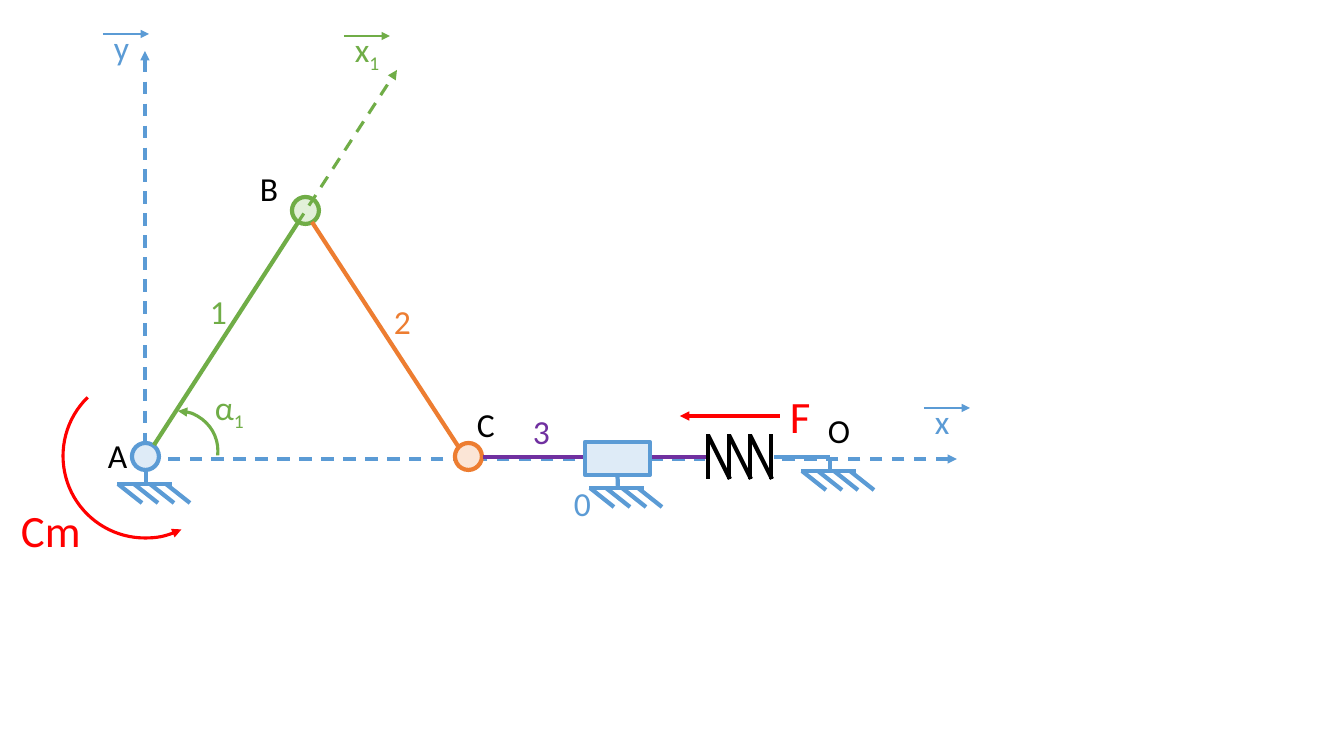
from lxml import etree
from pptx import Presentation
from pptx.dml.color import RGBColor
from pptx.enum.dml import MSO_LINE
from pptx.enum.shapes import MSO_CONNECTOR, MSO_SHAPE
from pptx.enum.text import MSO_AUTO_SIZE
from pptx.oxml.ns import qn
from pptx.util import Emu, Pt

EMU_PER_PX = 914400 / 100.8

BLACK = RGBColor(0x00, 0x00, 0x00)
WHITE = RGBColor(0xFF, 0xFF, 0xFF)
BLUE = RGBColor(0x5B, 0x9B, 0xD5)
GREEN = RGBColor(0x70, 0xAD, 0x47)
ORANGE = RGBColor(0xED, 0x7D, 0x31)
PURPLE = RGBColor(0x70, 0x30, 0xA0)
RED = RGBColor(0xFF, 0x00, 0x00)
PALE_BLUE = RGBColor(0xDE, 0xEB, 0xF7)
PALE_GREEN = RGBColor(0xE2, 0xF0, 0xD9)
PALE_ORANGE = RGBColor(0xFB, 0xE5, 0xD6)

HEAD, TAIL = "a:headEnd", "a:tailEnd"
LEFT_SIDE, BOTTOM_SIDE, RIGHT_SIDE = 1, 2, 3


def px(length):
    return Emu(round(length * EMU_PER_PX))


class Diagram:
    """Draws mechanism parts on one slide; all lengths are in px."""

    font_name = "Calibri"

    def __init__(self, slide):
        self.shapes = slide.shapes

    def style_line(self, line, color, width, arrow=None):
        line.color.rgb = color
        line.width = Pt(width)
        if arrow:
            etree.SubElement(line._get_or_add_ln(), qn(arrow), type="triangle")

    def line(self, start, end, color, width=3, dashed=False, arrow=None):
        points = [px(value) for value in (*start, *end)]
        connector = self.shapes.add_connector(MSO_CONNECTOR.STRAIGHT, *points)
        if dashed:
            connector.line.dash_style = MSO_LINE.DASH
        self.style_line(connector.line, color, width, arrow)
        etree.SubElement(connector._element.spPr, qn("a:effectLst"))
        return connector

    def shape(self, kind, box, fill, color, width=3, arrow=None):
        shape = self.shapes.add_shape(kind, *(px(value) for value in box))
        shape.shadow.inherit = False
        if fill is None:
            shape.fill.background()
        else:
            shape.fill.solid()
            shape.fill.fore_color.rgb = fill
        self.style_line(shape.line, color, width, arrow)
        return shape

    def joint(self, left, top, fill, color):
        self.shape(MSO_SHAPE.OVAL, (left, top, 27, 27), fill, color)

    def arc(self, left, top, size, start_angle, end_angle, color):
        """Draw clockwise between two angles in degrees, arrowhead at the start."""
        arc = self.shape(MSO_SHAPE.ARC, (left, top, size, size), None, color, 2.25, HEAD)
        for index, angle in enumerate((start_angle, end_angle)):
            arc.adjustments[index] = angle * 0.6

    def ground(self, x, y):
        """Draw a fixed support with its bar at y and return its stem."""
        stem = self.line((x, y - 14), (x, y + 1), BLUE)
        self.line((x + 26, y), (x - 29, y), BLUE)
        for offset in range(-28, 36, 16):
            self.line((x + offset + 24, y + 19), (x + offset, y), BLUE)
        return stem

    def spring(self, left, top, bottom, pitch=21, turns=3):
        for index in range(turns + 1):
            x = left + index * pitch
            self.line((x, bottom), (x, top), BLACK)
        for index in range(turns):
            x = left + index * pitch
            self.line((x + pitch + 1, bottom), (x, top + 1), BLACK)

    def label(self, text, left, top, width, color, size=24, subscript=""):
        height = 50 if size == 24 else 64
        text_box = self.shapes.add_textbox(px(left), px(top), px(width), px(height))
        text_frame = text_box.text_frame
        text_frame.word_wrap = False
        text_frame.auto_size = MSO_AUTO_SIZE.SHAPE_TO_FIT_TEXT
        text_frame.text = text
        paragraph = text_frame.paragraphs[0]
        if subscript:
            run = paragraph.add_run()
            run.text = subscript
            run._r.get_or_add_rPr().set("baseline", "-25000")
        for run in paragraph.runs:
            run.font.name = self.font_name
            run.font.size = Pt(size)
            run.font.color.rgb = color

    def vector(self, text, left, top, width, color, subscript=""):
        """Draw a label with a vector arrow above it."""
        self.label(text, left, top, width, color, subscript=subscript)
        self.line((left - 1, top + 12), (left + 45, top + 12), color, 1, arrow=TAIL)


def draw_mechanism(diagram):
    diagram.line((957, 459), (162, 459), BLUE, 2.25, dashed=True, arrow=HEAD)
    spring_back = diagram.shape(MSO_SHAPE.RECTANGLE, (706, 435, 68, 44), WHITE, WHITE, 1)

    diagram.joint(132, 443, PALE_BLUE, BLUE)
    diagram.ground(146, 484)
    diagram.line((154, 445), (299, 221), GREEN)
    diagram.joint(292, 197, PALE_GREEN, GREEN)
    diagram.line((458, 446), (312, 222), ORANGE)
    diagram.joint(455, 443, PALE_ORANGE, ORANGE)

    rod = diagram.line((706, 457), (483, 457), PURPLE)
    rod.begin_connect(spring_back, LEFT_SIDE)
    slider = diagram.shape(MSO_SHAPE.RECTANGLE, (585, 442, 65, 33), PALE_BLUE, BLUE)
    slider_stem = diagram.ground(618, 488)
    slider_stem.begin_connect(slider, BOTTOM_SIDE)

    diagram.spring(708, 434, 479)
    diagram.ground(830, 471)
    spring_anchor = diagram.line((830, 457), (774, 457), BLUE)
    spring_anchor.end_connect(spring_back, RIGHT_SIDE)

    diagram.line((297, 224), (397, 70), GREEN, 2.25, dashed=True, arrow=TAIL)
    diagram.line((145, 51), (145, 447), BLUE, 2.25, dashed=True, arrow=HEAD)
    diagram.arc(138, 411, 80, 270, 6.34, GREEN)
    diagram.arc(63, 374, 164, 63.63, 225.61, RED)
    diagram.line((780, 416), (680, 416), RED, 2.25, arrow=TAIL)


def draw_labels(diagram):
    for text, left, top, width, color in (
        ("A", 98, 430, 40, BLACK),
        ("B", 250, 163, 40, BLACK),
        ("C", 467, 399, 38, BLACK),
        ("O", 818, 405, 42, BLACK),
        ("0", 564, 478, 37, BLUE),
        ("1", 200, 286, 37, GREEN),
        ("2", 384, 296, 37, ORANGE),
        ("3", 523, 406, 37, PURPLE),
    ):
        diagram.label(text, left, top, width, color)
    diagram.label("α", 205, 382, 51, GREEN, subscript="1")
    diagram.label("Cm", 11, 498, 81, RED, size=32)
    diagram.label("F", 780, 384, 41, RED, size=32)
    diagram.vector("x", 345, 24, 46, GREEN, subscript="1")
    diagram.vector("x", 925, 396, 35, BLUE)
    diagram.vector("y", 104, 22, 35, BLUE)


def main():
    presentation = Presentation()
    presentation.slide_width = px(1344)
    presentation.slide_height = px(756)
    slide = presentation.slides.add_slide(presentation.slide_layouts[6])
    diagram = Diagram(slide)
    draw_mechanism(diagram)
    draw_labels(diagram)
    presentation.save("out.pptx")


if __name__ == "__main__":
    main()
